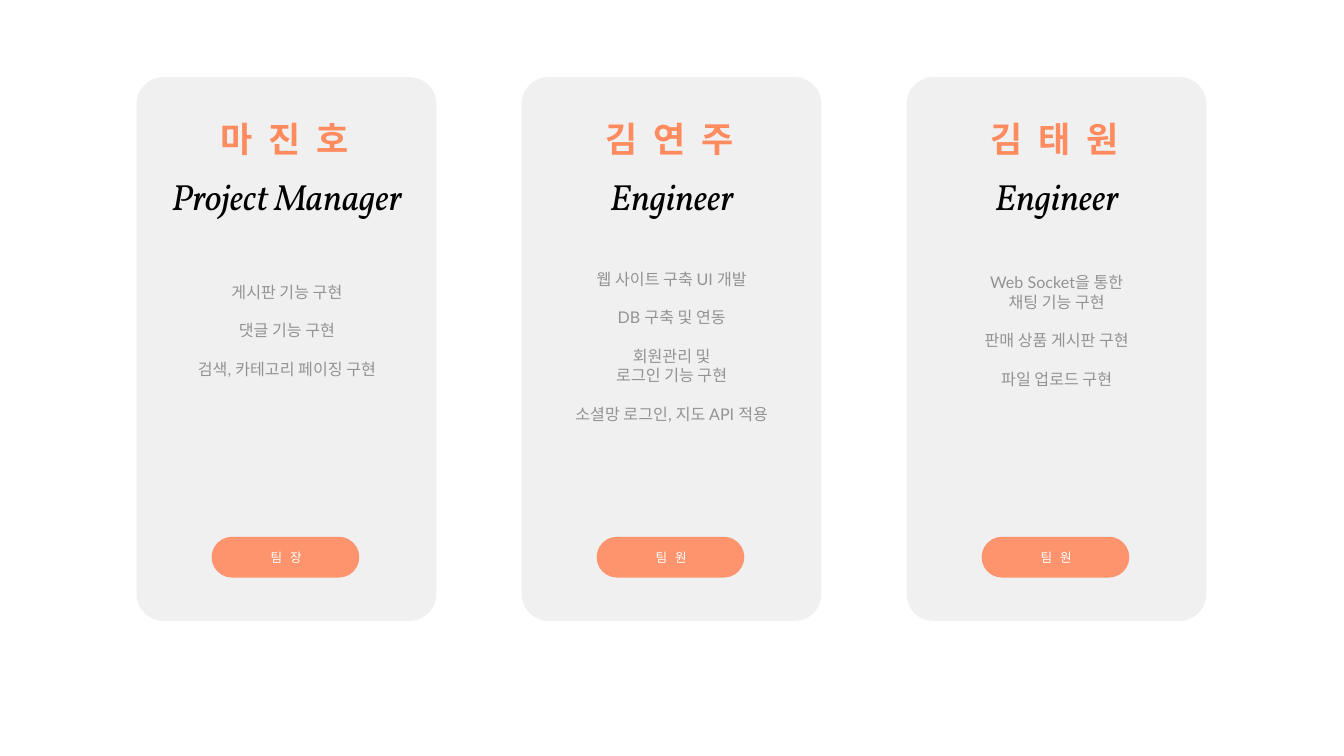
from lxml import etree
from pptx import Presentation
from pptx.dml.color import RGBColor
from pptx.enum import shapes, text
from pptx.oxml.ns import qn
from pptx.util import Inches, Pt

COLORS = {"card": "F0F0F0", "accent": "FF8B5F", "role": "000000",
          "duty": "939393", "badge": "FFFFFF"}
CARD_LEFT, CARD_PITCH = 2.71, 7.64
CARD_WIDTH = 5.95
DUTY_GAP = 27.6
MEMBERS = [
    {"name": "마 진 호", "role": "Project Manager", "badge": "팀 장",
     "duty_box": (3.7, 5.56, 3.99, 2.02),
     "duties": [["게시판 기능 구현"], ["댓글 기능 구현"],
                ["검색, 카테고리 페이징 구현"]]},
    {"name": "김 연 주", "role": "Engineer", "badge": "팀 원",
     "duty_box": (11.19, 5.3, 4.28, 3.95),
     "duties": [["웹 사이트 구축 UI 개발"], ["DB 구축 및 연동"],
                ["회원관리 및", "로그인 기능 구현"],
                ["소셜망 로그인, 지도 API 적용"]]},
    {"name": "김 태 원", "role": "Engineer", "badge": "팀 원",
     "duty_box": (19.34, 5.37, 3.26, 2.41),
     "duties": [["Web Socket을 통한", "채팅 기능 구현"],
                ["판매 상품 게시판 구현"], ["파일 업로드 구현"]]},
]


def add_panel(page, bounds, corner, color, opacity=100):
    """Add a borderless rounded rectangle, optionally translucent."""
    panel = page.shapes.add_shape(shapes.MSO_SHAPE.ROUNDED_RECTANGLE,
                                  *map(Inches, bounds))
    panel.adjustments[0] = corner
    panel.shadow.inherit = False
    panel.line.fill.background()
    panel.fill.solid()
    panel.fill.fore_color.rgb = RGBColor.from_string(COLORS[color])
    if opacity < 100:
        tint = panel.fill._xPr.find(".//" + qn("a:srgbClr"))
        etree.SubElement(tint, qn("a:alpha"), val=str(opacity * 1000))


def add_text(page, bounds, groups, font, size, color, bold=False,
             italic=False, spacing=0, wrap=True, anchor="MIDDLE"):
    """Add centred text, with a gap before every group of lines but the first."""
    frame = page.shapes.add_textbox(*map(Inches, bounds)).text_frame
    frame.word_wrap = wrap
    frame.vertical_anchor = text.MSO_ANCHOR[anchor]
    frame.margin_left = frame.margin_right = Inches(0.04)
    frame.margin_top = frame.margin_bottom = Inches(0.04)
    lines = [(line, group > 0 and row == 0)
             for group, rows in enumerate(groups)
             for row, line in enumerate(rows)]
    for index, (line, gap) in enumerate(lines):
        para = frame.add_paragraph() if index else frame.paragraphs[0]
        para.alignment = text.PP_ALIGN.CENTER
        if gap:
            para.space_before = Pt(DUTY_GAP)
        span = para.add_run()
        span.text = line
        if spacing:
            span._r.get_or_add_rPr().set("spc", str(int(spacing * 100)))
        para.font.name = font
        para.font.size = Pt(size)
        para.font.bold = bold
        para.font.italic = italic
        para.font.color.rgb = RGBColor.from_string(COLORS[color])


def add_member(page, left, member):
    """Add one team member's card."""
    add_panel(page, (left, 1.53, CARD_WIDTH, 10.79), 0.09, "card")
    add_text(page, (left + 0.08, 2.28, 5.71, 0.93), [[member["name"]]],
             "Montserrat", 50, "accent", bold=True, spacing=5.5)
    add_text(page, (left + 0.13, 3.41, 5.71, 0.96), [[member["role"]]],
             "Vollkorn", 52, "role", italic=True)
    add_text(page, member["duty_box"], member["duties"],
             "Lato", 23, "duty", wrap=False, anchor="TOP")
    add_panel(page, (left + 1.49, 10.65, 2.93, 0.81), 0.5, "accent", 90)
    add_text(page, (left + 1.71, 10.87, 2.52, 0.39), [[member["badge"]]],
             "Montserrat", 18, "badge", spacing=3.6)


def main():
    """Build the team slide."""
    deck = Presentation()
    deck.slide_width, deck.slide_height = Inches(26.67), Inches(15)
    page = deck.slides.add_slide(deck.slide_layouts[6])
    for index, member in enumerate(MEMBERS):
        add_member(page, CARD_LEFT + index * CARD_PITCH, member)
    deck.save("out.pptx")


if __name__ == "__main__":
    main()
